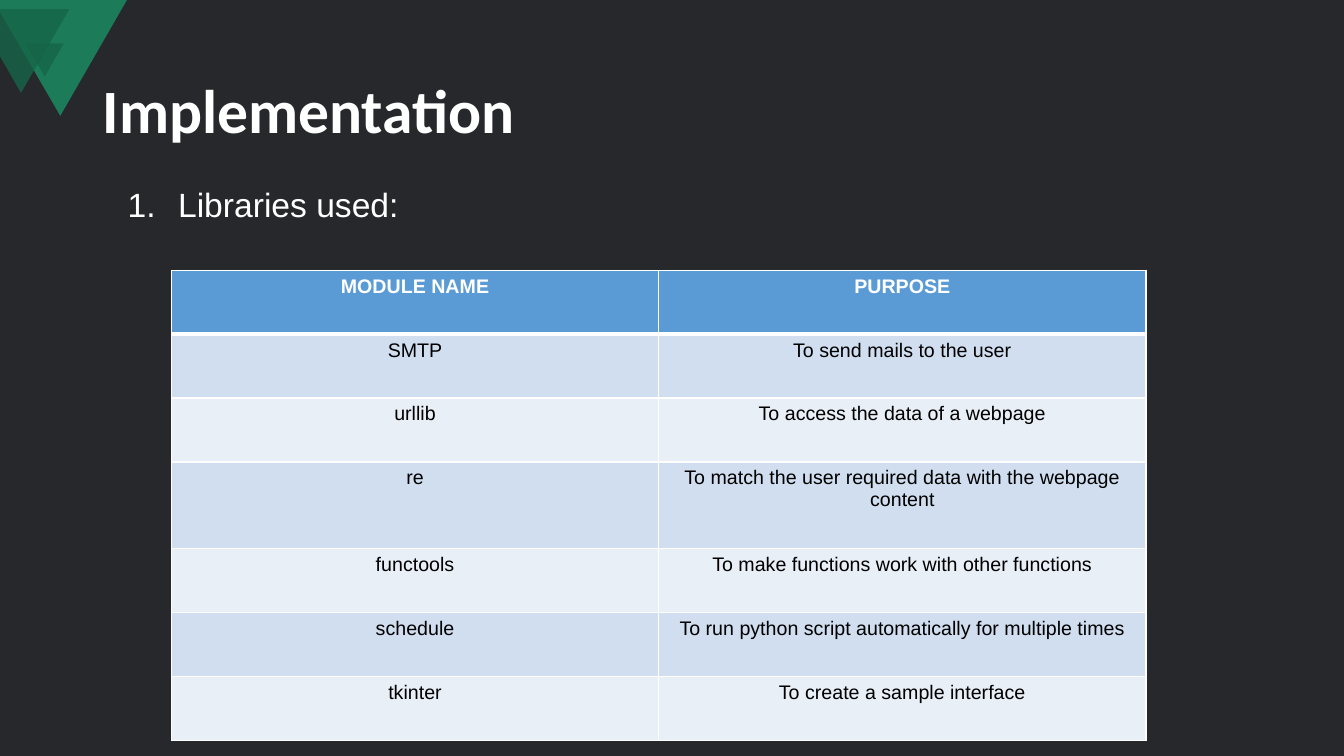
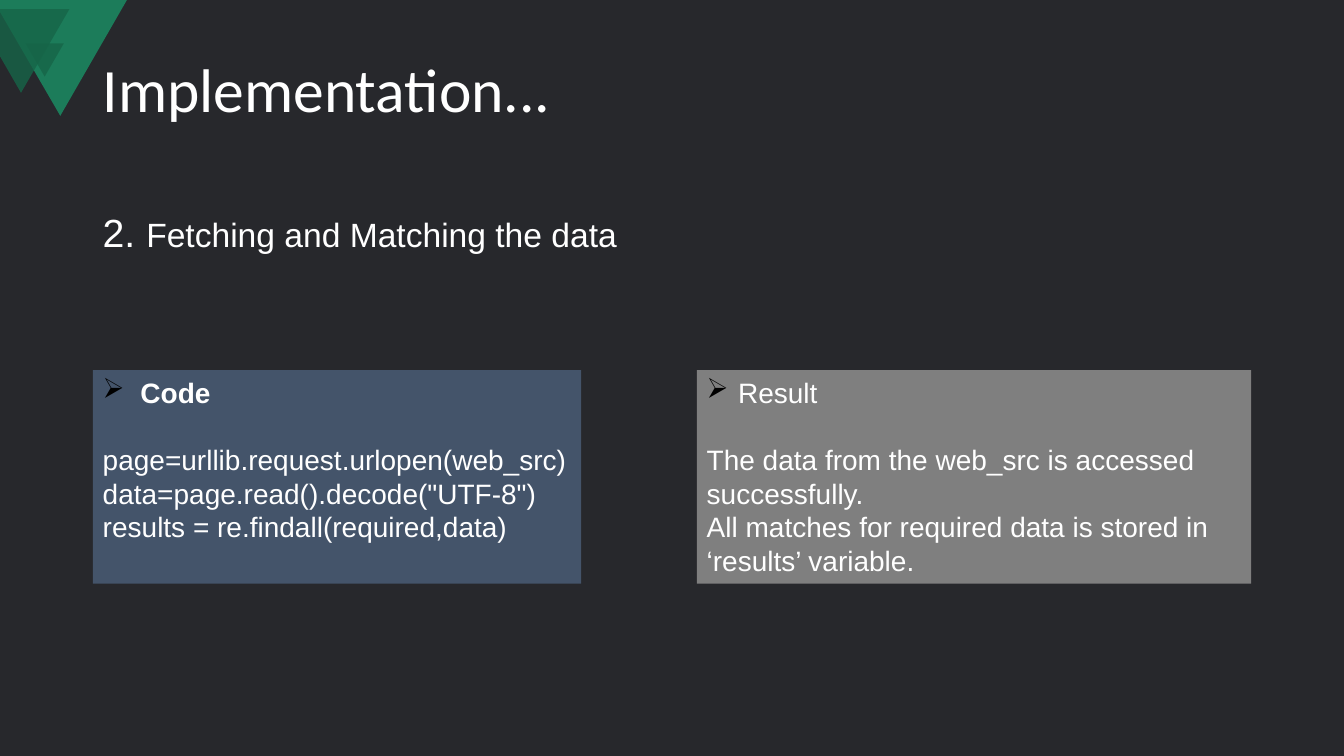
from pptx import Presentation
from pptx.dml.color import RGBColor
from pptx.enum.shapes import MSO_SHAPE as SHAPE
from pptx.enum.text import MSO_ANCHOR as ANCHOR, PP_ALIGN as ALIGN
from pptx.oxml.ns import qn
from pptx.util import Cm, Pt
from lxml.etree import SubElement

# Shared look
BACKGROUND, WHITE, BLACK = "27282C", "FFFFFF", "000000"
GREEN, DARK_GREEN = "1C7C5A", "166548"
HEADER_BLUE, BANDS = "5B9BD5", ("D0DEEF", "E9EFF7")
SLATE, GRAY = "44546A", "7F7F7F"
BODY_FONT, TITLE_FONT = "Arial", "Calibri"
LEFT = 2.34

MODULES = [
    ("MODULE NAME", "PURPOSE"),
    ("SMTP", "To send mails to the user"),
    ("urllib", "To access the data of a webpage"),
    ("re", "To match the user required data with the webpage content"),
    ("functools", "To make functions work with other functions"),
    ("schedule", "To run python script automatically for multiple times"),
    ("tkinter", "To create a sample interface"),
]
CODE = [
    "page=urllib.request.urlopen(web_src)",
    'data=page.read().decode("UTF-8")',
    "results = re.findall(required,data)",
]
RESULT = [
    "The data from the web_src is accessed successfully.",
    "All matches for required data is stored in ‘results’ variable.",
]


def rgb(value):
    return RGBColor.from_string(value)


def paint(sp, color, opacity=100):
    """Give a shape a plain fill without outline or shadow."""
    sp.shadow.inherit = False
    sp.line.fill.background()
    sp.fill.solid()
    sp.fill.fore_color.rgb = rgb(color)
    if opacity < 100:
        clr = sp.fill._xPr.find(qn("a:solidFill")).find(qn("a:srgbClr"))
        SubElement(clr, qn("a:alpha"), val=str(opacity * 1000))


def add_run(p, text, size, color=WHITE, bold=False, font=BODY_FONT):
    r = p.add_run()
    r.text = text
    r.font.size, r.font.bold, r.font.name = Pt(size), bold, font
    r.font.color.rgb = rgb(color)


def add_bullet(p, indent, color, kind, **attrs):
    """Hang the paragraph on a bullet or an automatic number."""
    pPr = p._p.get_or_add_pPr()
    pPr.set("marL", str(Cm(indent)))
    pPr.set("indent", str(-Cm(indent)))
    SubElement(SubElement(pPr, qn("a:buClr")), qn("a:srgbClr"), val=color)
    if kind == "buChar":
        SubElement(pPr, qn("a:buFont"), typeface="Wingdings")
    SubElement(pPr, qn("a:" + kind), **attrs)


def add_text(s, x, y, w, h, anchor=ANCHOR.TOP):
    """Add a wrapping text box and return its first paragraph."""
    tf = s.shapes.add_textbox(Cm(x), Cm(y), Cm(w), Cm(h)).text_frame
    tf.word_wrap = True
    tf.vertical_anchor = anchor
    return tf.paragraphs[0]


def add_outline(s, points, color, opacity=100):
    start, *rest = [(Cm(x), Cm(y)) for x, y in points]
    builder = s.shapes.build_freeform(*start)
    builder.add_line_segments(rest, close=True)
    paint(builder.convert_to_shape(), color, opacity)


def add_corner(s):
    """Triangles in the top left corner."""
    add_outline(s, [(0, 0), (3.2, 0), (1.52, 2.92), (0, 0.3)], GREEN)
    sp = s.shapes.add_shape(SHAPE.ISOSCELES_TRIANGLE,
                            Cm(0.64), Cm(1.09), Cm(0.97), Cm(0.84))
    sp.rotation = 180
    paint(sp, DARK_GREEN, 80)
    add_outline(s, [(0, 0.23), (1.75, 0.23), (0.53, 2.34), (0, 1.42)],
                DARK_GREEN, 80)


def add_slide(prs, title, title_height, bold=False):
    s = prs.slides.add_slide(prs.slide_layouts[6])
    add_corner(s)
    p = add_text(s, LEFT, 1.01, 29.21, title_height, ANCHOR.MIDDLE)
    p.line_spacing = 0.9
    add_run(p, title, 44, bold=bold, font=TITLE_FONT)
    return s


def set_borders(cell, **widths):
    tcPr = cell._tc.get_or_add_tcPr()
    for side in "LRTB":
        ln = SubElement(tcPr, qn("a:ln" + side), w=str(Pt(widths.get(side, 1))))
        SubElement(SubElement(ln, qn("a:solidFill")), qn("a:srgbClr"), val=WHITE)


def add_module_table(s, x, y, col_width, row_height, tall_row_height):
    rows, cols = len(MODULES), len(MODULES[0])
    table = s.shapes.add_table(rows, cols, Cm(x), Cm(y), Cm(col_width * cols),
                               Cm(row_height * rows)).table
    for col in table.columns:
        col.width = Cm(col_width)
    for i, texts in enumerate(MODULES):
        is_tall = texts[0] == "re"
        table.rows[i].height = Cm(tall_row_height if is_tall else row_height)
        header = i == 0
        for j, text in enumerate(texts):
            cell = table.cell(i, j)
            # The rule below the header belongs to both rows it separates
            set_borders(cell, T=3 if i == 1 else 1, B=3 if header else 1)
            cell.fill.solid()
            cell.fill.fore_color.rgb = rgb(
                HEADER_BLUE if header else BANDS[(i - 1) % 2])
            p = cell.text_frame.paragraphs[0]
            p.alignment = ALIGN.CENTER
            add_run(p, text, 14, WHITE if header else BLACK, header)


def add_panel(s, x, width, color, heading, indent, lines, bold=False):
    """Filled box with a bulleted heading above plain lines."""
    sp = s.shapes.add_shape(SHAPE.RECTANGLE, Cm(x), Cm(9.33), Cm(width), Cm(5.38))
    paint(sp, color)
    tf = sp.text_frame
    tf.word_wrap = True
    tf.vertical_anchor = ANCHOR.TOP
    p = tf.paragraphs[0]
    p.alignment = ALIGN.LEFT
    add_bullet(p, indent, BLACK, "buChar", char="Ø")
    add_run(p, heading, 20, bold=bold)
    for i, line in enumerate(lines):
        p = tf.add_paragraph()
        p.alignment = ALIGN.LEFT
        if i == 0:
            p.space_before = Pt(24)
        add_run(p, line, 20)


def add_libraries_slide(prs):
    s = add_slide(prs, "Implementation", 3.68, bold=True)
    p = add_text(s, 2.97, 4.52, 29.06, 2.31)
    add_bullet(p, 1.27, WHITE, "buAutoNum", type="arabicPeriod")
    add_run(p, "Libraries used:", 24)
    add_module_table(s, 4.32, 6.81, 12.28, 1.61, 2.18)


def add_fetching_slide(prs):
    s = add_slide(prs, "Implementation...", 2.67)
    p = add_text(s, LEFT, 5.13, 14.8, 1.45)
    add_run(p, "2. ", 28)
    add_run(p, "Fetching and Matching the data", 24)
    add_panel(s, LEFT, 12.31, SLATE, "Code", 0.95, CODE, bold=True)
    add_panel(s, 17.56, 13.97, GRAY, "Result", 0.79, RESULT)


def main():
    prs = Presentation()
    prs.slide_width, prs.slide_height = Cm(33.87), Cm(19.05)
    fill = prs.slide_master.background.fill
    fill.solid()
    fill.fore_color.rgb = rgb(BACKGROUND)
    add_libraries_slide(prs)
    add_fetching_slide(prs)
    prs.save("out.pptx")


if __name__ == "__main__":
    main()
